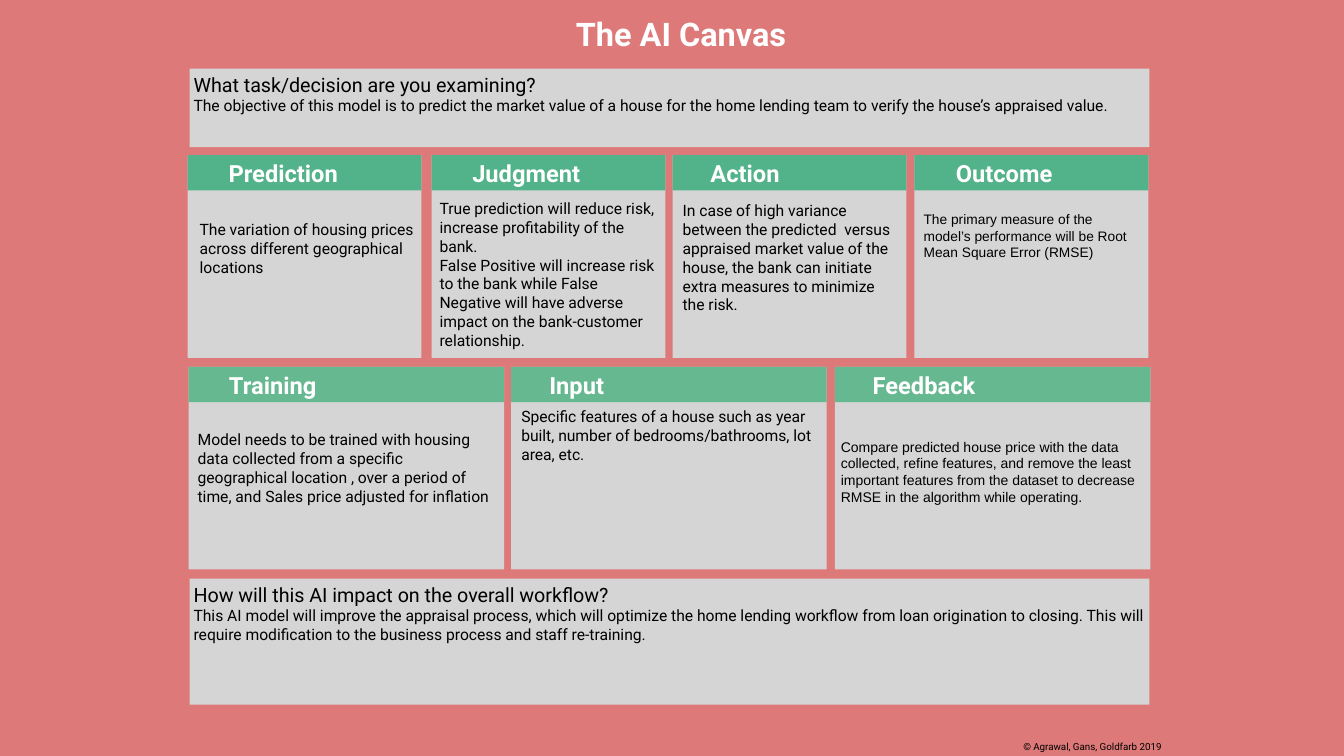
import pptx
import pptx.util
import pptx.dml.color
import pptx.enum.shapes
import pptx.enum.text

Inches = pptx.util.Inches
Align = pptx.enum.text.PP_ALIGN
Anchor = pptx.enum.text.MSO_ANCHOR

BLACK, WHITE, PANEL = "000000", "FFFFFF", "D6D5D5"


def add_panel(shapes, left, top, width, height, color):
    panel = shapes.add_shape(
        pptx.enum.shapes.MSO_SHAPE.RECTANGLE,
        Inches(left), Inches(top), Inches(width), Inches(height))
    panel.shadow.inherit = False
    panel.fill.solid()
    panel.fill.fore_color.rgb = pptx.dml.color.RGBColor.from_string(color)
    panel.line.fill.background()
    return panel


def write(box, lines, color=BLACK, font="Roboto", bold=False,
          align=Align.LEFT, anchor=Anchor.MIDDLE, inset=0.04):
    frame = box.text_frame
    frame.word_wrap = True
    frame.vertical_anchor = anchor
    frame.margin_left = frame.margin_right = Inches(inset)
    frame.margin_top = frame.margin_bottom = Inches(inset)
    for number, (text, size) in enumerate(lines):
        para = frame.paragraphs[0] if number == 0 else frame.add_paragraph()
        para.text = text
        para.alignment = align
        span = para.runs[0]
        span.font.size = pptx.util.Pt(size)
        span.font.name = font
        span.font.bold = bold
        span.font.color.rgb = pptx.dml.color.RGBColor.from_string(color)


deck = pptx.Presentation()
deck.slide_width = Inches(13.33)
deck.slide_height = Inches(7.5)
page = deck.slides.add_slide(deck.slide_layouts[6])
page.background.fill.solid()
page.background.fill.fore_color.rgb = pptx.dml.color.RGBColor.from_string("DE7979")

top_cards = [
    ("Prediction", 1.86, 2.18, 1.26, (1.94, 2.13, 0.67), "Roboto", 11.2,
     ["The variation of housing prices across different geographical locations"]),
    ("Judgment", 4.28, 4.59, 1.26, (4.32, 2.33, 0.78), "Roboto", 11.2,
     ["True prediction will reduce risk, increase profitability of the bank.",
      "False Positive will increase risk to the bank while False Negative will have "
      "adverse impact on the bank-customer relationship."]),
    ("Action", 6.67, 6.76, 1.26, (6.73, 2.34, 0.43), "Roboto", 11.2,
     ["In case of high variance between the predicted  versus appraised market value of "
      "the house, the bank can initiate extra measures to minimize the risk."]),
    ("Outcome", 9.07, 9.33, 1.26, (9.12, 1.95, 0.78), "Arial", 9.8,
     ["The primary measure of the model’s performance will be Root Mean Square Error (RMSE)"]),
]
bottom_cards = [
    ("Training", 1.87, 2.17, 1.07, (1.92, 4.62, 0.04), "Roboto", 11.2,
     ["Model needs to be trained with housing data collected from a specific geographical "
      "location , over a period of time, and Sales price adjusted for inflation"]),
    ("Input", 5.07, 5.33, 0.78, (5.13, 4.04, 0.55), "Roboto", 11.2,
     ["Specific features of a house such as year built, number of bedrooms/bathrooms, "
      "lot area, etc."]),
    ("Feedback", 8.28, 8.55, 1.23, (8.3, 4.08, 1.2), "Arial", 10,
     ["Compare predicted house price with the data collected, refine features, and remove "
      "the least important features from the dataset to decrease RMSE in the algorithm "
      "while operating."]),
]
card_rows = [
    (1.54, 2.32, 2.22, "52B289", top_cards),
    (3.64, 3.13, 3.01, "66B890", bottom_cards),
]

for row_top, card_width, body_width, header_color, cards in card_rows:
    for title, left, title_left, title_width, body_place, font, size, texts in cards:
        card = page.shapes.add_group_shape()
        add_panel(card.shapes, left, row_top, card_width, 2.01, PANEL)
        add_panel(card.shapes, left, row_top, card_width, 0.35, header_color)
        heading = card.shapes.add_textbox(
            Inches(title_left), Inches(row_top), Inches(title_width), Inches(0.35))
        write(heading, [(title, 16.9)], WHITE, bold=True, align=Align.CENTER)
        body_left, body_top, body_height = body_place
        body = page.shapes.add_textbox(
            Inches(body_left), Inches(body_top), Inches(body_width), Inches(body_height))
        write(body, [(text, size) for text in texts], font=font)

questions = [
    (0.68, 0.78, "What task/decision are you examining?",
     "The objective of this model is to predict the market value of a house for the home "
     "lending team to verify the house’s appraised value."),
    (5.74, 1.25, "How will this AI impact on the overall workflow?",
     "This AI model will improve the appraisal process, which will optimize the home "
     "lending workflow from loan origination to closing. This will require modification "
     "to the business process and staff re-training."),
]
for top, height, question, answer in questions:
    panel = add_panel(page.shapes, 1.88, top, 9.52, height, PANEL)
    write(panel, [(question, 14.1), (answer, 11.2)], anchor=Anchor.TOP)

slide_title = page.shapes.add_textbox(Inches(5.49), Inches(0.09), Inches(2.53), Inches(0.49))
write(slide_title, [("The AI Canvas", 23.2)], WHITE, bold=True, align=Align.CENTER)

credit = page.shapes.add_textbox(Inches(10.08), Inches(7.29), Inches(2.07), Inches(0.17))
write(credit, [("© Agrawal, Gans, Goldfarb 2019", 7)], anchor=Anchor.TOP, inset=0.07)

deck.save("out.pptx")
